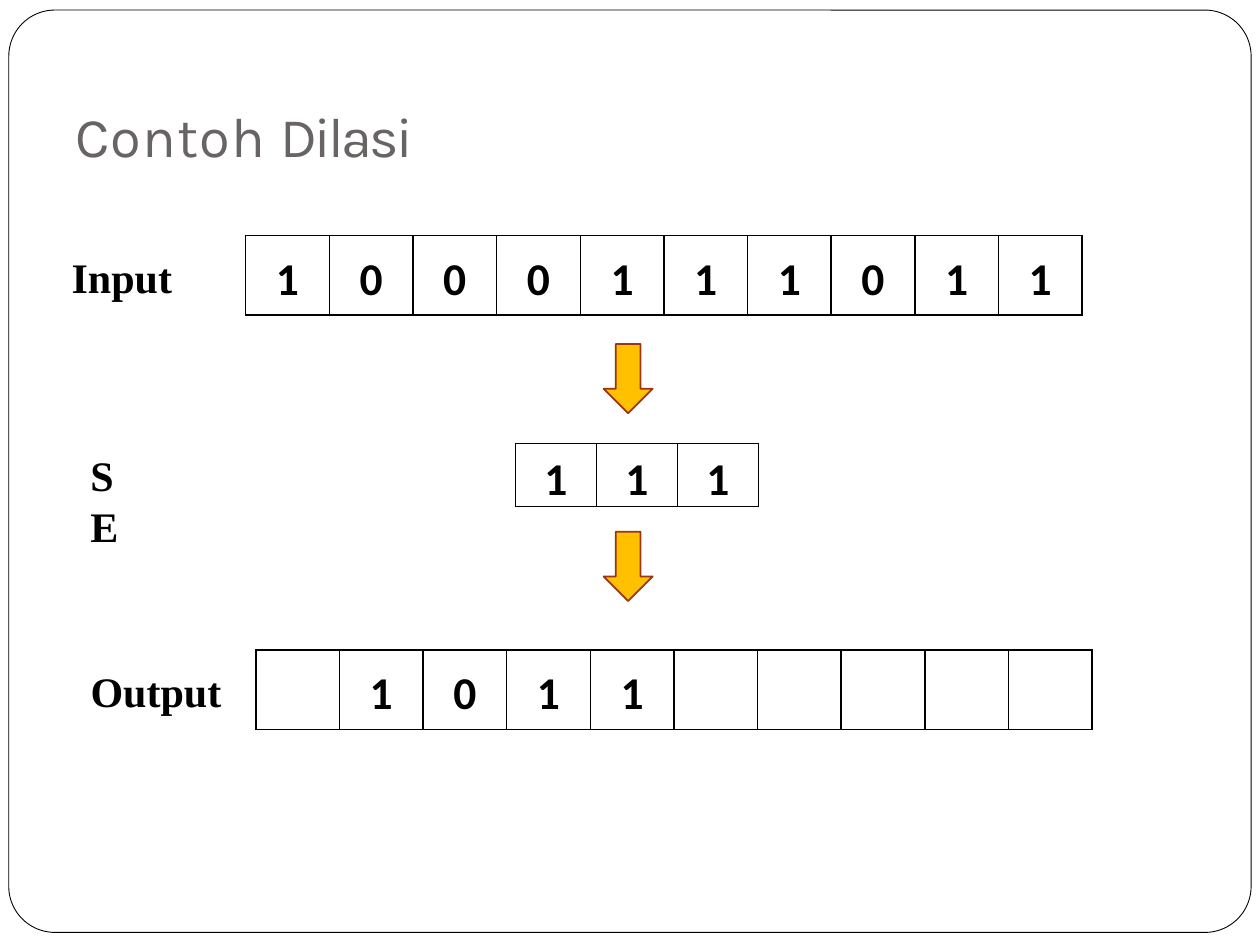
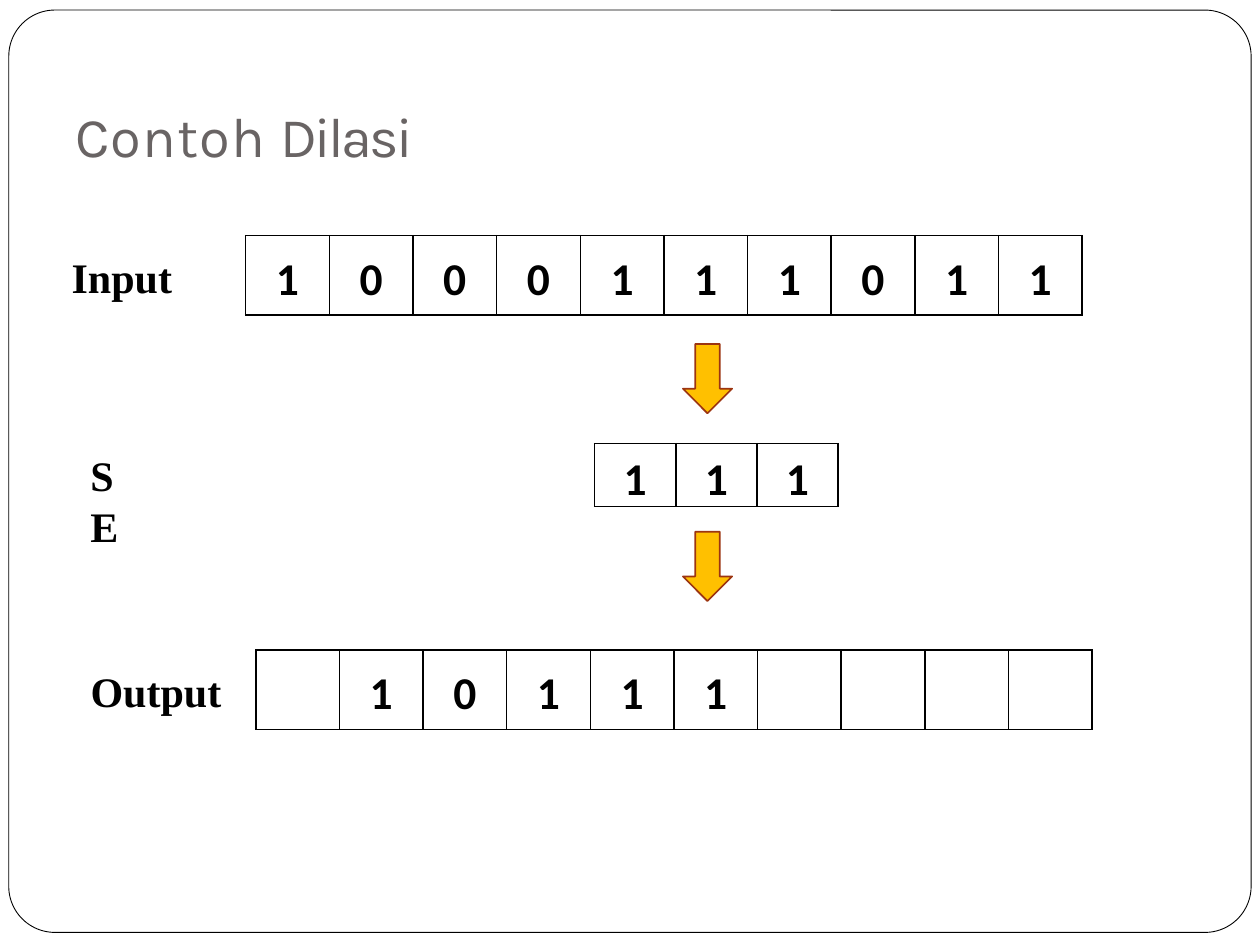
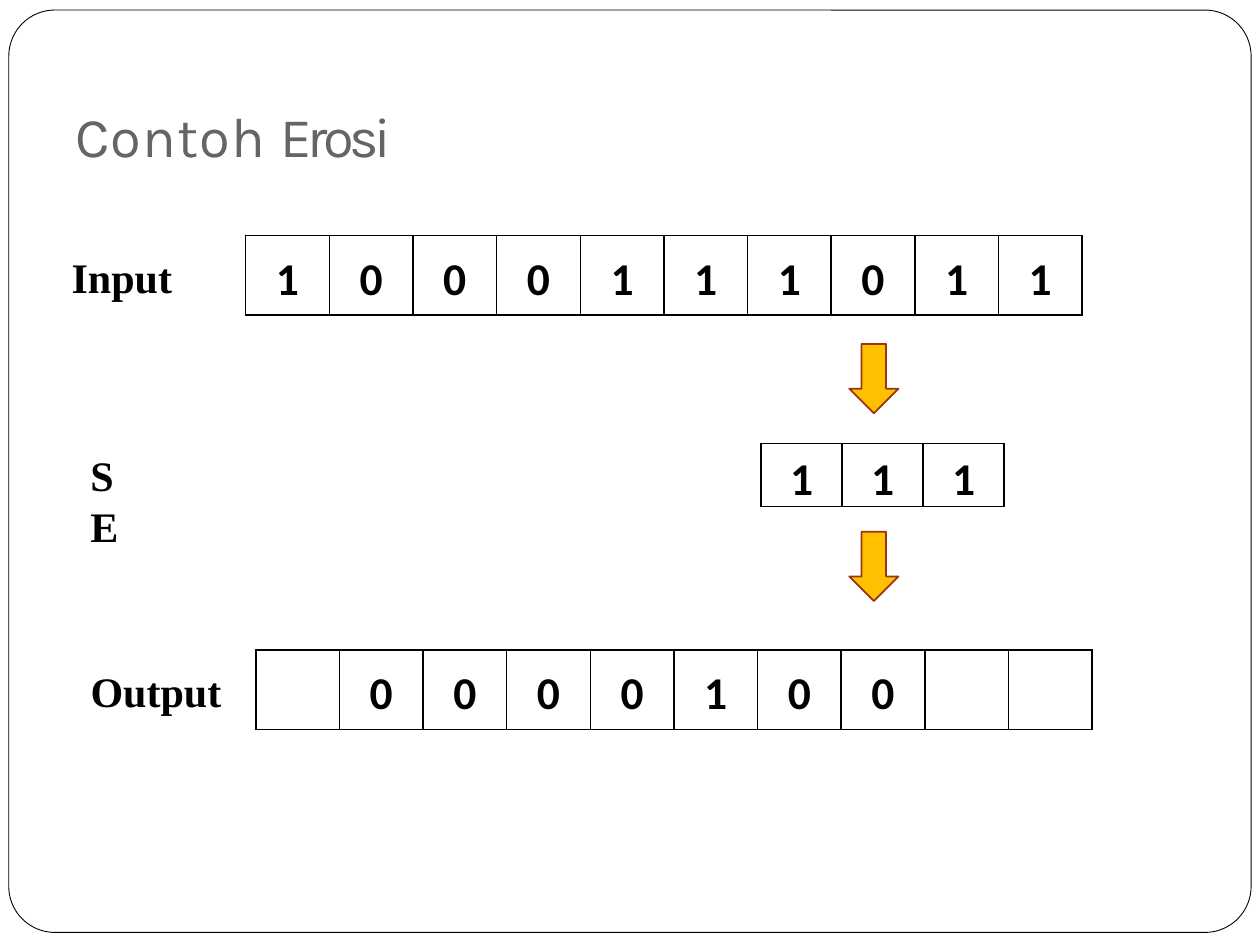
from lxml import etree
from pptx import Presentation
from pptx import util as u
from pptx.dml.color import RGBColor
from pptx.enum import shapes, text
from pptx.oxml import ns

BLACK = RGBColor(0, 0, 0)
WHITE = RGBColor(0xFF, 0xFF, 0xFF)
GREY = RGBColor(0x69, 0x64, 0x64)
GOLD = RGBColor(0xFF, 0xC0, 0x00)
RUST = RGBColor(0x9C, 0x35, 0x11)

INPUT = "1000111011"
MASK = "111"
STEPS = [
    ("Dilasi", -1.6, 2.86, 4.09, " 1011     "),
    ("Dilasi", -1.6, 2.86, 4.72, " 10111    "),
    ("Erosi", -2.5, 2.71, 6.04, " 0000100  "),
]


def place(box):
    return [u.Inches(side) for side in box]


def style(run, face, size, color, bold=False):
    font = run.font
    font.name, font.size, font.bold = face, u.Pt(size), bold
    font.color.rgb = color


def add_form(slide, kind, box, fill, line, width):
    form = slide.shapes.add_shape(kind, *place(box))
    form.shadow.inherit = False
    form.fill.solid()
    form.fill.fore_color.rgb = fill
    form.line.color.rgb = line
    form.line.width = u.Pt(width)
    return form


def add_frame(slide):
    frame = add_form(slide, shapes.MSO_SHAPE.ROUNDED_RECTANGLE,
                     (0.07, 0.08, 9.86, 7.32), WHITE, BLACK, 0.5)
    frame.adjustments[0] = 0.05
    slide.shapes.element.insert(2, frame.element)


def add_title(slide, box, word, space):
    title = slide.shapes.title
    title.left, title.top, title.width, title.height = place(box)
    frame = title.text_frame
    frame.margin_left = frame.margin_right = frame.margin_bottom = 0
    frame.margin_top = u.Inches(0.01)
    frame.word_wrap = True
    frame.auto_size = text.MSO_AUTO_SIZE.SHAPE_TO_FIT_TEXT
    frame.vertical_anchor = text.MSO_ANCHOR.BOTTOM
    line = frame.paragraphs[0]
    line.alignment = text.PP_ALIGN.LEFT
    for part, gap in (("Contoh ", 0.6), (word, space)):
        run = line.add_run()
        run.text = part
        style(run, "Karla", 32, GREY)
        run.font._element.set("spc", str(round(gap * 100)))


def add_label(slide, box, name):
    label = slide.shapes.add_textbox(*place(box))
    frame = label.text_frame
    frame.word_wrap = True
    frame.text = name
    style(frame.paragraphs[0].runs[0], "Times New Roman", 24, BLACK, True)


def add_edges(cell):
    props = cell._tc.get_or_add_tcPr()
    for side in "LRTB":
        edge = etree.SubElement(props, ns.qn(f"a:ln{side}"), w=str(u.Pt(1)))
        fill = etree.SubElement(edge, ns.qn("a:solidFill"))
        etree.SubElement(fill, ns.qn("a:srgbClr"), val=str(BLACK))


def add_bits(slide, box, bits):
    table = slide.shapes.add_table(1, len(bits), *place(box)).table
    table.first_row = table.horz_banding = False
    for cell, bit in zip(table.iter_cells(), bits):
        add_edges(cell)
        cell.fill.background()
        cell.margin_left = cell.margin_right = u.Inches(0.07)
        cell.margin_top = cell.margin_bottom = 0
        cell.vertical_anchor = text.MSO_ANCHOR.MIDDLE
        if bit != " ":
            line = cell.text_frame.paragraphs[0]
            line.text = bit
            line.alignment = text.PP_ALIGN.CENTER
            line.line_spacing = 1.15
            style(line.runs[0], "Calibri", 26, BLACK, True)


def add_mask(slide, box):
    left, top, width, height = box
    add_bits(slide, box, MASK)
    for shift in (-0.79, 0.7):
        add_form(slide, shapes.MSO_SHAPE.DOWN_ARROW,
                 (left + 0.7, top + shift, 0.39, 0.55), GOLD, RUST, 1)


def add_step(deck, word, space, width, left, output):
    slide = deck.slides.add_slide(deck.slide_layouts[5])
    add_frame(slide)
    add_title(slide, (0.6, 0.78, width, 0.56), word, space)
    add_bits(slide, (1.95, 1.87, 6.64, 0.63), INPUT)
    add_mask(slide, (left, 3.52, 1.93, 0.5))
    add_bits(slide, (2.03, 5.16, 6.64, 0.63), output)
    add_label(slide, (0.47, 1.95, 1.01, 0.5), "Input")
    add_label(slide, (0.62, 3.52, 0.6, 0.5), "S E")
    add_label(slide, (0.62, 5.23, 1.25, 0.5), "Output")


def main():
    deck = Presentation()
    deck.slide_width, deck.slide_height = u.Inches(10), u.Inches(7.5)
    for step in STEPS:
        add_step(deck, *step)
    deck.save("out.pptx")


if __name__ == "__main__":
    main()
